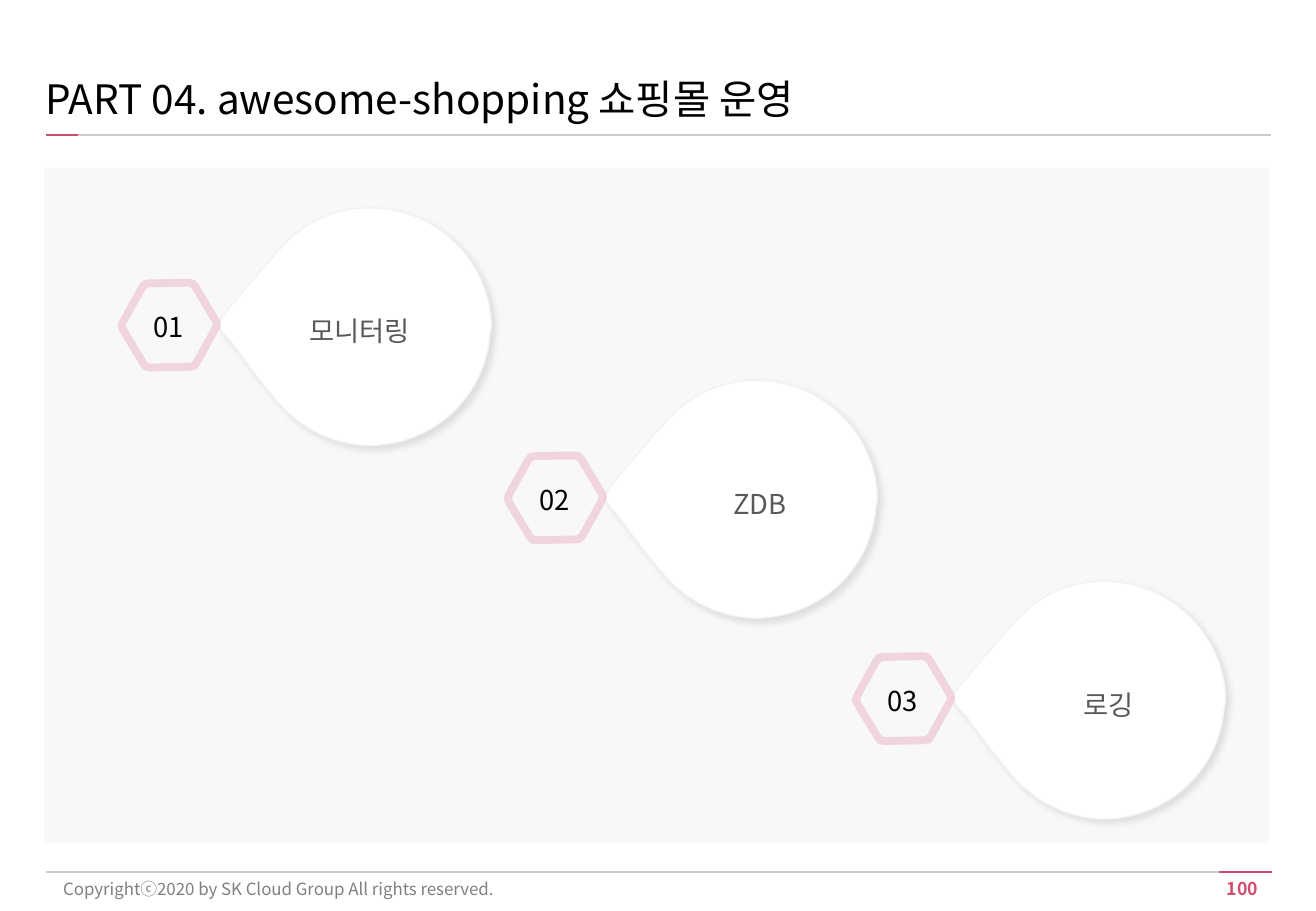
from math import cos, pi, sin

from lxml.etree import SubElement
from pptx import Presentation
from pptx.dml.color import RGBColor
from pptx.enum.shapes import MSO_CONNECTOR as Link, MSO_SHAPE as Kind
from pptx.enum.text import MSO_ANCHOR as Anchor, PP_ALIGN as Align
from pptx.oxml import parse_xml
from pptx.oxml.ns import nsdecls, qn
from pptx.util import Cm, Pt

WHITE = RGBColor(0xFF, 0xFF, 0xFF)
BLACK = RGBColor(0, 0, 0)
ROSE = RGBColor(0xD0, 0x4D, 0x6F)
SILVER = RGBColor(0xCC, 0xCC, 0xCC)
PALE = RGBColor(0xF8, 0xF8, 0xF8)
EDGE = RGBColor(0xF2, 0xF2, 0xF2)
GREY = RGBColor(0x80, 0x80, 0x80)
DARK = RGBColor(0x59, 0x59, 0x59)
SANS_JP = "Noto Sans CJK JP"
SANS_KR = "Noto Sans CJK KR"

DROP = [
    (3.48, 0.79),
    (3.94, 0.3), (4.6, 0), (5.33, 0.03),
    (6.63, 0.05), (7.72, 1.09), (7.8, 2.39),
    (7.8, 2.49), (7.8, 2.59), (7.77, 2.69),
    (7.67, 3.99), (6.58, 5), (5.23, 5),
    (4.52, 4.98), (3.89, 4.67), (3.43, 4.19),
    (3.05, 3.76), (2.69, 3.28), (2.36, 2.82),
    (2.31, 2.77), (2.26, 2.72), (2.21, 2.67),
    (2.08, 2.49), (2.08, 2.44), (2.21, 2.26),
    (2.26, 2.2), (2.31, 2.14), (2.36, 2.08),
    (2.72, 1.65), (3.1, 1.19), (3.48, 0.79),
]
STEPS = [
    ("01", "모니터링", 2.47, 4.32, 5.05),
    ("02", "ZDB", 10.54, 7.93, 5.35),
    ("03", "로깅", 17.82, 12.13, 5.35),
]


def hexagon(x, y, radius, cut):
    """Return the Bezier knots of an upright hexagon with round corners."""
    tips = [(x + radius * cos((60 * i - 31) * pi / 180),
             y + radius * sin((60 * i - 31) * pi / 180)) for i in range(6)]
    share = cut / radius
    knots = []
    for i, tip in enumerate(tips):
        start, end = [tuple(a + (b - a) * share for a, b in zip(tip, other))
                      for other in (tips[i - 1], tips[(i + 1) % 6])]
        knots += [start] * 3 + [tip, tip, end]
    return knots[2:] + knots[:1] * 3


def outline(shapes, left, top, rings, fill):
    """Draw closed rings of Bezier knots as one filled shape."""
    rings = [[(Cm(left + x), Cm(top + y)) for x, y in ring] for ring in rings]
    pen = shapes.build_freeform(*rings[0][0])
    for i, ring in enumerate(rings):
        if i:
            pen.move_to(*ring[0])
        pen.add_line_segments(ring[1:], close=True)
    shape = pen.convert_to_shape()
    parts = list(shape._element.iter(qn("a:lnTo")))
    for first, *others in zip(parts[::3], parts[1::3], parts[2::3]):
        first.tag = qn("a:cubicBezTo")
        for other in others:
            first.append(other[0])
            other.getparent().remove(other)
    shape.shadow.inherit = False
    shape.fill.solid()
    shape.fill.fore_color.rgb = fill
    shape.line.fill.background()
    return shape


def write(shapes, box, words, size, color, face, align=Align.LEFT,
          anchor=Anchor.TOP, bold=False, space=None, margin=0.25):
    """Add a text box holding one paragraph."""
    frame = shapes.add_textbox(*map(Cm, box)).text_frame
    frame.word_wrap = True
    frame.vertical_anchor = anchor
    frame.margin_right = Cm(margin)
    para = frame.paragraphs[0]
    para.text = words
    para.alignment = align
    if space:
        para.line_spacing = Pt(space)
    font = para.font
    font.size, font.name, font.bold = Pt(size), face, bold
    font.color.rgb = color
    base = para._p.pPr.find(qn("a:defRPr"))
    SubElement(base, qn("a:ea")).set("typeface", face)


def rule(shapes, left, right, y, color):
    """Draw a level line."""
    line = shapes.add_connector(Link.STRAIGHT, Cm(left), Cm(y), Cm(right), Cm(y))
    line.line.color.rgb = color
    line.line.width = Pt(1.5)
    SubElement(line._element.spPr, qn("a:effectLst"))


def header(shapes, left, top, width):
    """Place the title above its rule."""
    write(shapes, (left - 0.27, top, width - 1.4, 1.17),
          "PART 04. awesome-shopping 쇼핑몰 운영", 24, BLACK, SANS_JP,
          anchor=Anchor.MIDDLE)
    rule(shapes, left, left + width, top + 1.35, SILVER)
    rule(shapes, left, left + 0.66, top + 1.35, ROSE)


def footer(shapes, left, top, width):
    """Place the rule, the copyright line and the page number."""
    rule(shapes, left, left + width, top, SILVER)
    rule(shapes, left + width - 1.07, left + width + 0.02, top, ROSE)
    write(shapes, (left + 0.1, top - 0.07, 14.48, 0.86),
          "Copyrightⓒ2020 by SK Cloud Group All rights reserved.",
          10, GREY, SANS_JP, anchor=Anchor.MIDDLE)
    write(shapes, (left + width - 1.71, top + 0.01, 1.45, 0.71), "100", 10.5,
          ROSE, SANS_JP, Align.RIGHT, bold=True, margin=0)


def panel(shapes, left, top, width, height):
    """Fill the area behind the steps."""
    shape = shapes.add_shape(Kind.RECTANGLE, *map(Cm, (left, top, width, height)))
    shape.shadow.inherit = False
    shape.fill.solid()
    shape.fill.fore_color.rgb = PALE
    shape.line.fill.background()


def step(shapes, left, top, number, label, middle):
    """Place a drop with its label and a numbered hexagon."""
    drop = outline(shapes, left, top, [DROP], WHITE)
    drop.line.color.rgb = EDGE
    drop.line.width = Pt(0.75)
    props = drop._element.spPr
    props.remove(props.find(qn("a:effectLst")))
    props.append(parse_xml(
        f'<a:effectLst {nsdecls("a")}><a:outerShdw blurRad="{Pt(4)}" '
        f'dist="{Pt(3)}" dir="2700000" algn="tl" rotWithShape="0">'
        '<a:srgbClr val="000000"><a:alpha val="10000"/></a:srgbClr>'
        '</a:outerShdw></a:effectLst>'))
    rings = [hexagon(1.07, 2.48, 1.11, 0.24), hexagon(1.07, 2.48, 0.92, 0.04)]
    ring = outline(shapes, left, top, rings, ROSE)
    ring.rotation = 30
    tint = ring._element.spPr.find(qn("a:solidFill"))[0]
    SubElement(tint, qn("a:alpha")).set("val", "20000")
    write(shapes, (left, top + 2.05, 2.11, 0.94), number, 16.2, BLACK,
          SANS_KR, Align.CENTER)
    write(shapes, (left + middle - 2.16, top + 2.01, 4.32, 1.02), label, 16.2,
          DARK, SANS_KR, Align.CENTER, space=22.8)


def main():
    """Build the slide and save it."""
    deck = Presentation()
    deck.slide_width, deck.slide_height = Cm(27.51), Cm(19.05)
    shapes = deck.slides.add_slide(deck.slide_layouts[6]).shapes
    panel(shapes, 0.92, 3.51, 25.63, 14.12)
    header(shapes, 0.97, 1.47, 25.59)
    footer(shapes, 0.97, 18.23, 25.59)
    for number, label, left, top, middle in STEPS:
        step(shapes, left, top, number, label, middle)
    deck.save("out.pptx")


if __name__ == "__main__":
    main()
